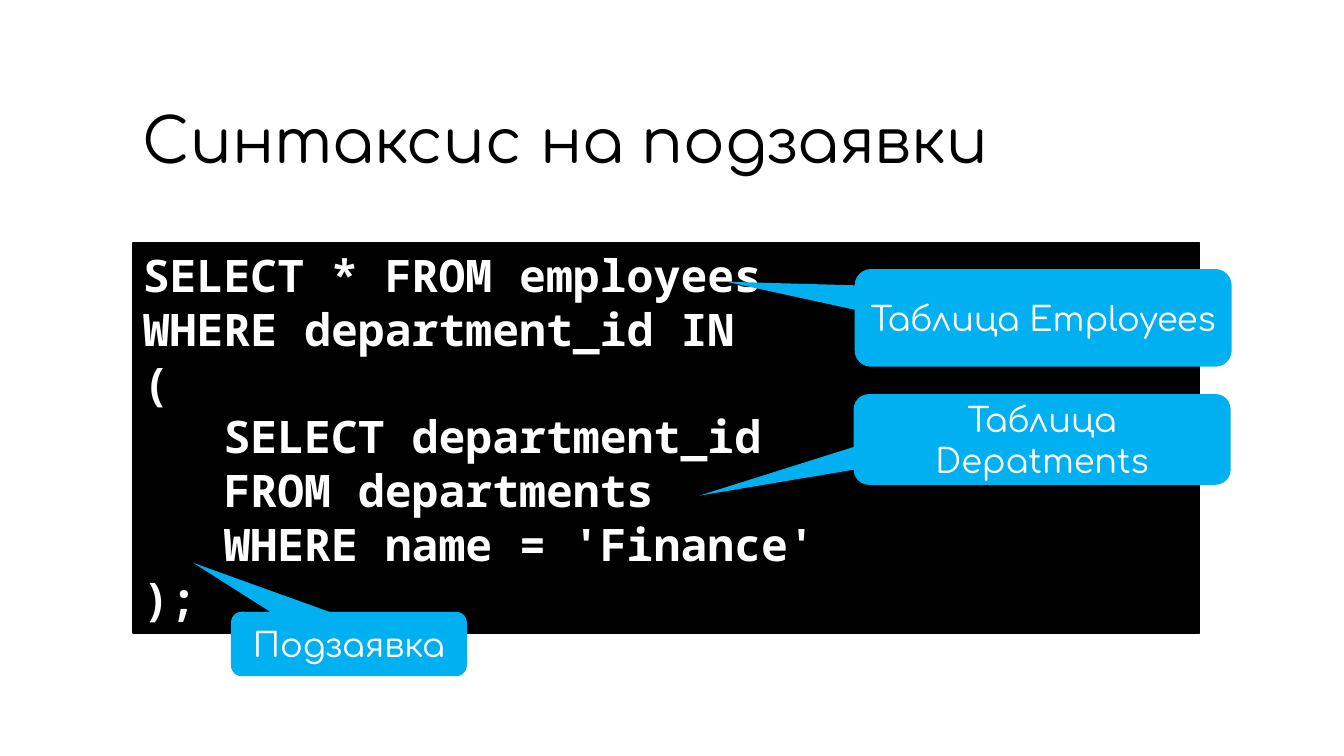
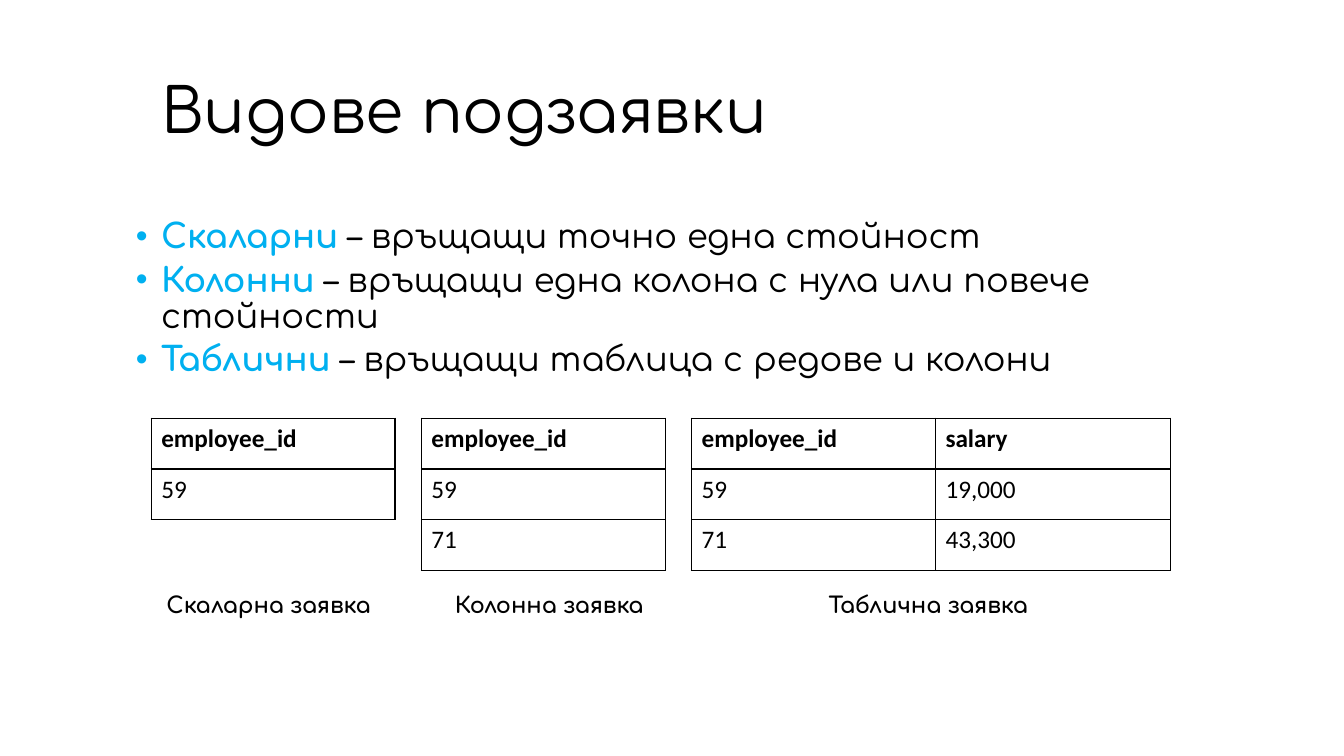
from lxml import etree
from pptx import Presentation
from pptx.dml.color import RGBColor
from pptx.enum.shapes import MSO_SHAPE
from pptx.enum.text import MSO_ANCHOR, PP_ALIGN
from pptx.oxml import parse_xml
from pptx.oxml.ns import nsdecls, qn
from pptx.util import Pt

RECTANGLE = MSO_SHAPE.RECTANGLE
CALLOUT = MSO_SHAPE.ROUNDED_RECTANGULAR_CALLOUT
MIDDLE, TOP = MSO_ANCHOR.MIDDLE, MSO_ANCHOR.TOP
LEFT, CENTER = PP_ALIGN.LEFT, PP_ALIGN.CENTER

COLORS = {"ink": "000000", "paper": "FFFFFF", "accent": "00B0F0"}
HEADING_FONT, CODE_FONT, TABLE_FONT = "Comfortaa", "Noto Sans Mono", "Calibri"


def style(font, name, size, color, bold=False):
    font.name, font.size, font.bold = name, Pt(size), bold
    font.color.rgb = RGBColor.from_string(COLORS[color])


def add_text_box(page, left, top, width, height, text="", size=24, bold=False,
                 align=LEFT, anchor=TOP):
    box = page.shapes.add_textbox(Pt(left), Pt(top), Pt(width), Pt(height))
    frame = box.text_frame
    frame.word_wrap = True
    frame.vertical_anchor = anchor
    para = frame.paragraphs[0]
    para.text = text
    para.alignment = align
    style(para.font, HEADING_FONT, size, "ink", bold)
    return frame


deck = Presentation()
deck.slide_width, deck.slide_height = Pt(960), Pt(540)

# Titles
pages = []
for title, left, top, width in [("Синтаксис на подзаявки", 95, 50.4, 762),
                                ("Видове подзаявки", 108, 28.8, 785.5)]:
    page = deck.slides.add_slide(deck.slide_layouts[6])
    frame = add_text_box(page, left, top, width, 104.4, title, 44, anchor=MIDDLE)
    frame.paragraphs[0].line_spacing = 0.9
    pages.append(page)
syntax_page, kinds_page = pages

# Slide 1: the query
code_box = syntax_page.shapes.add_shape(RECTANGLE, Pt(95), Pt(173.5), Pt(762), Pt(278.6))
code_box.shadow.inherit = False
code_box.fill.solid()
code_box.fill.fore_color.rgb = RGBColor.from_string(COLORS["ink"])
code_box.line.color.rgb = RGBColor.from_string(COLORS["ink"])
code_box.line.width = Pt(1)
frame = code_box.text_frame
frame.word_wrap = True
frame.vertical_anchor = TOP
CODE_INDENT = 57.6  # three characters of the code font
code_lines = [
    ("SELECT * FROM employees", 0),
    ("WHERE department_id IN", 0),
    ("(", 0),
    ("SELECT department_id", CODE_INDENT),
    ("FROM departments", CODE_INDENT),
    ("WHERE name = 'Finance'", CODE_INDENT),
    (");", 0),
]
for index, (line, indent) in enumerate(code_lines):
    para = frame.add_paragraph() if index else frame.paragraphs[0]
    para.text = line
    para.alignment = LEFT
    para._p.get_or_add_pPr().set("marL", str(Pt(indent)))
    style(para.font, CODE_FONT, 32, "paper", True)

# Slide 1: callouts, with the tip given relative to the size
callouts = [
    ("Таблица Depatments", 609.8, 281.5, 269.3, 64.8, -0.91, 0.62),
    ("Подзаявка", 165, 437, 168.5, 46, -0.66, -1.26),
    ("Таблица Employees", 610.5, 192.2, 269.3, 69.8, -0.84, -0.37),
]
for text, left, top, width, height, tip_x, tip_y in callouts:
    callout = syntax_page.shapes.add_shape(CALLOUT, Pt(left), Pt(top), Pt(width), Pt(height))
    callout.adjustments[0], callout.adjustments[1] = tip_x, tip_y
    callout.shadow.inherit = False
    callout.fill.solid()
    callout.fill.fore_color.rgb = RGBColor.from_string(COLORS["accent"])
    callout.line.fill.background()
    frame = callout.text_frame
    frame.word_wrap = True
    frame.vertical_anchor = MIDDLE
    para = frame.paragraphs[0]
    para.text = text
    para.alignment = CENTER
    style(para.font, HEADING_FONT, 24, "paper")

# Slide 2: bullets
frame = add_text_box(kinds_page, 54, 153.4, 828, 130)
kinds = [
    ("Скаларни", " – връщащи точно една стойност"),
    ("Колонни", " – връщащи една колона с нула или повече стойности"),
    ("Таблични", " – връщащи таблица с редове и колони"),
]
for index, (term, meaning) in enumerate(kinds):
    para = frame.add_paragraph() if index else frame.paragraphs[0]
    para.line_spacing = 0.9
    para.space_before = Pt(5)
    for text, color, bold in [(term, "accent", True), (meaning, "ink", False)]:
        span = para.add_run()
        span.text = text
        style(span.font, HEADING_FONT, 24, color, bold)
    properties = para._p.get_or_add_pPr()
    properties.set("marL", str(Pt(54)))
    properties.set("indent", str(Pt(-18)))
    bullet_color = etree.Element(qn("a:buClr"))
    etree.SubElement(bullet_color, qn("a:srgbClr"), val=COLORS["accent"])
    bullet_font = etree.Element(qn("a:buFont"), typeface="Arial")
    bullet = etree.Element(qn("a:buChar"), char="•")
    spacing = properties.find(qn("a:spcBef"))
    for offset, element in enumerate([bullet_color, bullet_font, bullet], 1):
        properties.insert(properties.index(spacing) + offset, element)

# Slide 2: result tables with their captions
ROW_HEIGHT, TABLE_TOP, CAPTION_TOP = 36.2, 298.8, 419
ID_WIDTH, SALARY_WIDTH = 174.2, 167.8
results = [
    (108, [["employee_id"], ["59"]], "Скаларна заявка", 108, 167.8),
    (301, [["employee_id"], ["59"], ["71"]], "Колонна заявка", 309.6, 165.6),
    (494, [["employee_id", "salary"], ["59", "19,000"], ["71", "43,300"]],
     "Таблична заявка", 488.2, 350),
]
for left, rows, caption, caption_left, caption_width in results:
    widths = [ID_WIDTH, SALARY_WIDTH][:len(rows[0])]
    table = kinds_page.shapes.add_table(
        len(rows), len(widths), Pt(left), Pt(TABLE_TOP),
        Pt(sum(widths)), Pt(ROW_HEIGHT * len(rows))).table
    table.first_row = table.horz_banding = False
    for column, width in zip(table.columns, widths):
        column.width = Pt(width)
    for row_index, row in enumerate(rows):
        for column_index, value in enumerate(row):
            cell = table.cell(row_index, column_index)
            cell.fill.background()
            cell.text = value
            style(cell.text_frame.paragraphs[0].font, TABLE_FONT, 18, "ink", row_index == 0)
            for position, side in enumerate("LRTB"):
                border = parse_xml(
                    f'<a:ln{side} {nsdecls("a")} w="{Pt(1)}"><a:solidFill>'
                    f'<a:srgbClr val="{COLORS["ink"]}"/></a:solidFill></a:ln{side}>')
                cell._tc.get_or_add_tcPr().insert(position, border)
    add_text_box(kinds_page, caption_left, CAPTION_TOP, caption_width, 26.6,
                 caption, 16, True, CENTER)

deck.save("out.pptx")
